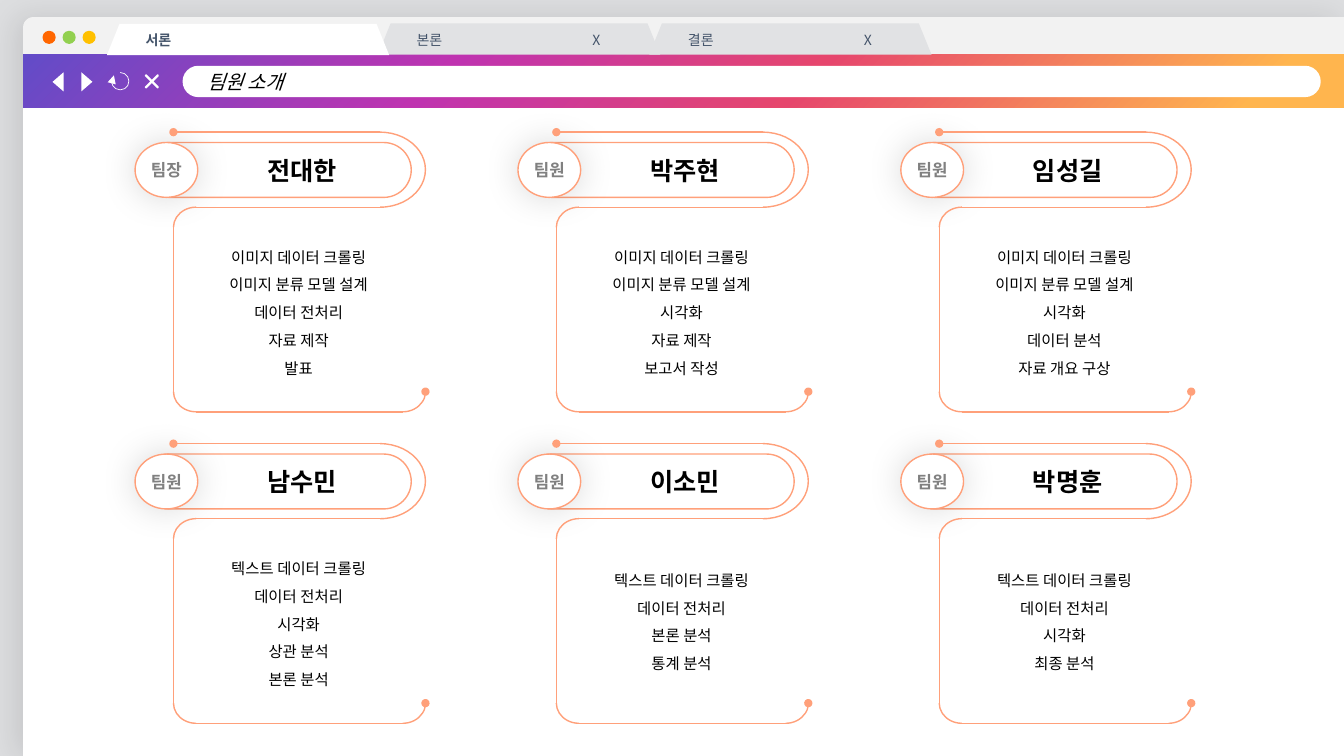
from copy import deepcopy
from lxml.etree import SubElement
from pptx import Presentation
from pptx.dml.color import RGBColor
from pptx.enum.shapes import MSO_CONNECTOR, MSO_SHAPE
from pptx.enum.text import MSO_ANCHOR, MSO_AUTO_SIZE, PP_ALIGN
from pptx.oxml.ns import qn
from pptx.util import Pt

FONT = "Noto Sans CJK KR"
COLORS = {
    "back": "DDDEE0", "frame": "F2F2F2", "white": "FFFFFF", "black": "000000",
    "red": "FF6600", "green": "92D050", "yellow": "FFC000", "gray": "808080",
    "tab": "E1E2E4", "navy": "44546A", "salmon": "FFA07A",
    "violet": "624CC8", "purple": "BF33B0", "pink": "E6466D", "orange": "FFB54E",
}
HUES = {name: RGBColor.from_string(code) for name, code in COLORS.items()}


def draw(kind, box, fill=None, line=None, width=1, flip="", shade=None):
    shape = slide.shapes.add_shape(kind, *[Pt(v) for v in box])
    if fill:
        shape.fill.solid()
        shape.fill.fore_color.rgb = HUES[fill]
    else:
        shape.fill.background()
    if line:
        shape.line.color.rgb = HUES[line]
        shape.line.width = Pt(width)
    else:
        shape.line.fill.background()
    for axis in flip:
        shape.element.spPr.find(qn("a:xfrm")).set("flip" + axis, "1")
    shape.shadow.inherit = False
    if shade:
        alpha, blur, dist, angle = shade
        glow = SubElement(
            shape.element.spPr.find(qn("a:effectLst")), qn("a:outerShdw"),
            blurRad=str(Pt(blur)), dist=str(Pt(dist)), dir=str(angle * 60000),
            algn="ctr", rotWithShape="0")
        tint = SubElement(glow, qn("a:srgbClr"), val=COLORS["black"])
        SubElement(tint, qn("a:alpha"), val=str(alpha * 1000))
    return shape


def write(shape, text, size, color, bold=False, italic=False, align=PP_ALIGN.CENTER,
          anchor=MSO_ANCHOR.MIDDLE, space=1.0, left=7.2, wrap=True):
    frame = shape.text_frame
    frame.text = text
    frame.word_wrap = wrap
    frame.vertical_anchor = anchor
    frame.margin_left = Pt(left)
    for para in frame.paragraphs:
        para.alignment = align
        para.line_spacing = space
        for run in para.runs:
            font = run.font
            font.size, font.bold, font.italic = Pt(size), bold, italic
            font.color.rgb = HUES[color]
            font.name = FONT
            SubElement(run.font._element, qn("a:ea"), typeface=FONT)


deck = Presentation()
deck.slide_width, deck.slide_height = Pt(960), Pt(540)
slide = deck.slides.add_slide(deck.slide_layouts[5])
slide.background.fill.solid()
slide.background.fill.fore_color.rgb = HUES["back"]

frame = draw(MSO_SHAPE.ROUND_1_RECTANGLE, (16.5, 12.2, 943.5, 527.8), "frame",
             flip="H", shade=(10, 22, 5, 180))
frame.adjustments[0] = 0.014
draw(MSO_SHAPE.RECTANGLE, (16.5, 38.5, 943.5, 501.5), "white")
for i, color in enumerate(["red", "green", "yellow"]):
    draw(MSO_SHAPE.OVAL, (30.4 + 14.3 * i, 22, 9.4, 9.4), color)

band = draw(MSO_SHAPE.RECTANGLE, (16.5, 38.9, 943.5, 37.8), "violet")
band.fill.gradient()
band.fill.gradient_angle = 315
stops = band.element.spPr.find(qn("a:gradFill")).find(qn("a:gsLst"))
for i in range(2):
    stops.append(deepcopy(stops[0]))
ramp = [(0, "violet"), (0.32, "purple"), (0.59, "pink"), (0.93, "orange")]
for stop, (place, color) in zip(band.fill.gradient_stops, ramp):
    stop.position = place
    stop.color.rgb = HUES[color]

bar = draw(MSO_SHAPE.ROUNDED_RECTANGLE, (130.4, 47, 813, 22.4), "white")
bar.adjustments[0] = 0.5
title = slide.shapes.title
title.left, title.top, title.width, title.height = Pt(133.6), Pt(47), Pt(806), Pt(22.4)
write(title, "팀원 소개", 14, "black", italic=True, align=PP_ALIGN.LEFT, left=14.4)
title.text_frame.auto_size = MSO_AUTO_SIZE.NONE
title.text_frame.margin_top = title.text_frame.margin_bottom = 0
bar.element.addnext(title.element)

for left, turn in [(34.6, 270), (55.2, 90)]:
    arrow = draw(MSO_SHAPE.ISOSCELES_TRIANGLE, (left, 54.5, 13.7, 7.9), "white")
    arrow.rotation = turn
cross = draw(MSO_SHAPE.MATH_PLUS, (100.2, 49.8, 16.6, 16.6), "gray", "white")
cross.rotation = 315
cross.adjustments[0] = 0.04
reload = draw(MSO_SHAPE.ARC, (79.7, 51.8, 12.4, 12.4), line="white", width=0.5)
reload.adjustments[0], reload.adjustments[1] = 162, 133.65
SubElement(reload.element.spPr.find(qn("a:ln")), qn("a:tailEnd"), type="triangle")

TABS = [
    (270, 16.7, "본론\tX", "tab", False),
    (76.4, 17, "서론", "white", True),
    (463.8, 16.7, "결론\tX", "tab", False),
]
for left, top, text, fill, bold in TABS:
    tab = draw(MSO_SHAPE.TRAPEZOID, (left, top, 201.6, 22.3), fill)
    tab.adjustments[0] = 0.405
    write(tab, text, 10, "navy", bold, align=PP_ALIGN.LEFT, left=21.6)
    if "\t" in text:
        props = tab.text_frame.paragraphs[0]._p.get_or_add_pPr()
        SubElement(SubElement(props, qn("a:tabLst")), qn("a:tab"),
                   pos=str(Pt(125.6)), algn="l")

CRAWL = "이미지 데이터 크롤링"
MODEL = "이미지 분류 모델 설계"
WORDS = "텍스트 데이터 크롤링"
CLEAN = "데이터 전처리"
CHART = "시각화"
TEAM = [
    ("팀장", "전대한", [CRAWL, MODEL, CLEAN, "자료 제작", "발표"]),
    ("팀원", "박주현", [CRAWL, MODEL, CHART, "자료 제작", "보고서 작성"]),
    ("팀원", "임성길", [CRAWL, MODEL, CHART, "데이터 분석", "자료 개요 구상"]),
    ("팀원", "남수민", [WORDS, CLEAN, CHART, "상관 분석", "본론 분석"]),
    ("팀원", "이소민", [WORDS, CLEAN, "본론 분석", "통계 분석"]),
    ("팀원", "박명훈", [WORDS, CLEAN, CHART, "최종 분석"]),
]
LINES = [
    (0, 0, 147.6, 0, True),
    (16.4, 53.6, 147.6, 53.6, False),
    (0, 68, 0, 185.4, False),
    (16.4, 199.8, 164, 199.8, False),
]
ARCS = [(0, 53.6, "H"), (0, 171, "HV"), (147.6, 171, "V")]

for i, (role, name, tasks) in enumerate(TEAM):
    x = 123.9 + 273.5 * (i % 3)
    y = 94.4 + 222.5 * (i // 3)

    pill = draw(MSO_SHAPE.ROUNDED_RECTANGLE, (x - 22.3, y + 7.4, 192.2, 39.2), line="salmon")
    pill.adjustments[0] = 0.5
    write(pill, name, 18, "black", True, left=43.2)
    badge = draw(MSO_SHAPE.OVAL, (x - 27.4, y + 7.4, 44.8, 39.2), "white", "salmon",
                 shade=(14, 26, 0, 0))
    write(badge, role, 12, "gray", True, wrap=False)
    hook = draw(MSO_SHAPE.LEFT_BRACKET, (x + 147.6, y, 32.4, 53.6), line="salmon", flip="H")
    hook.adjustments[0] = 1.606

    for x1, y1, x2, y2, dot in LINES:
        edge = slide.shapes.add_connector(
            MSO_CONNECTOR.STRAIGHT, Pt(x + x1), Pt(y + y1), Pt(x + x2), Pt(y + y2))
        edge.line.color.rgb = HUES["salmon"]
        edge.line.width = Pt(1)
        props = edge.element.spPr
        SubElement(props, qn("a:effectLst"))
        if dot:
            SubElement(props.find(qn("a:ln")), qn("a:headEnd"), type="oval")

    for dx, dy, flip in ARCS:
        curve = draw(MSO_SHAPE.ARC, (x + dx, y + dy, 32.4, 28.8), line="salmon", flip=flip)
        if flip == "V":
            SubElement(curve.element.spPr.find(qn("a:ln")), qn("a:tailEnd"), type="oval")

    drop = 72.4 if len(tasks) == 5 else 80.8
    note = slide.shapes.add_textbox(
        Pt(x - 39.8), Pt(y + drop), Pt(258.5), Pt(5 + 20 * len(tasks)))
    write(note, "\n".join(tasks), 11, "black", anchor=MSO_ANCHOR.TOP, space=1.5)

deck.save("out.pptx")
